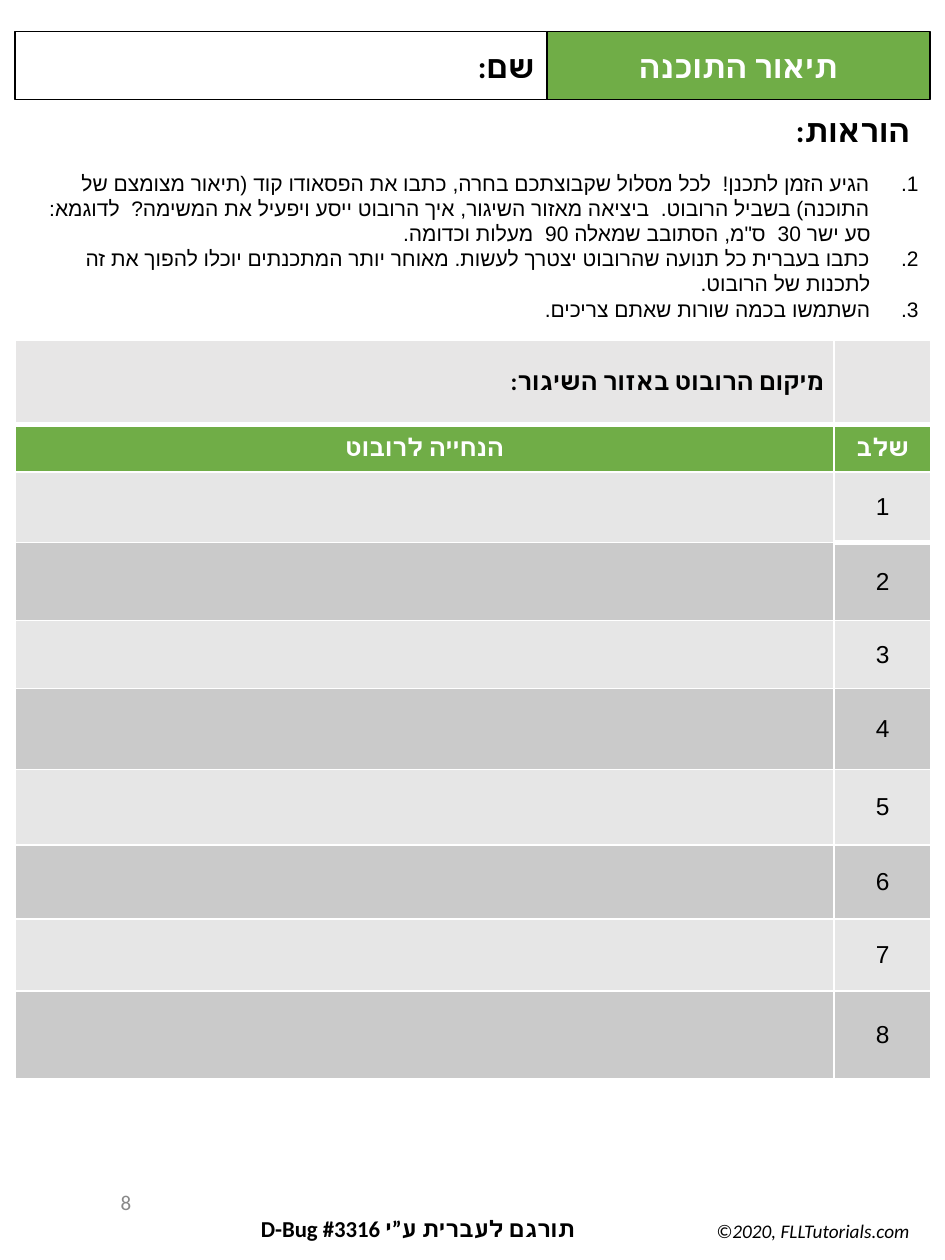
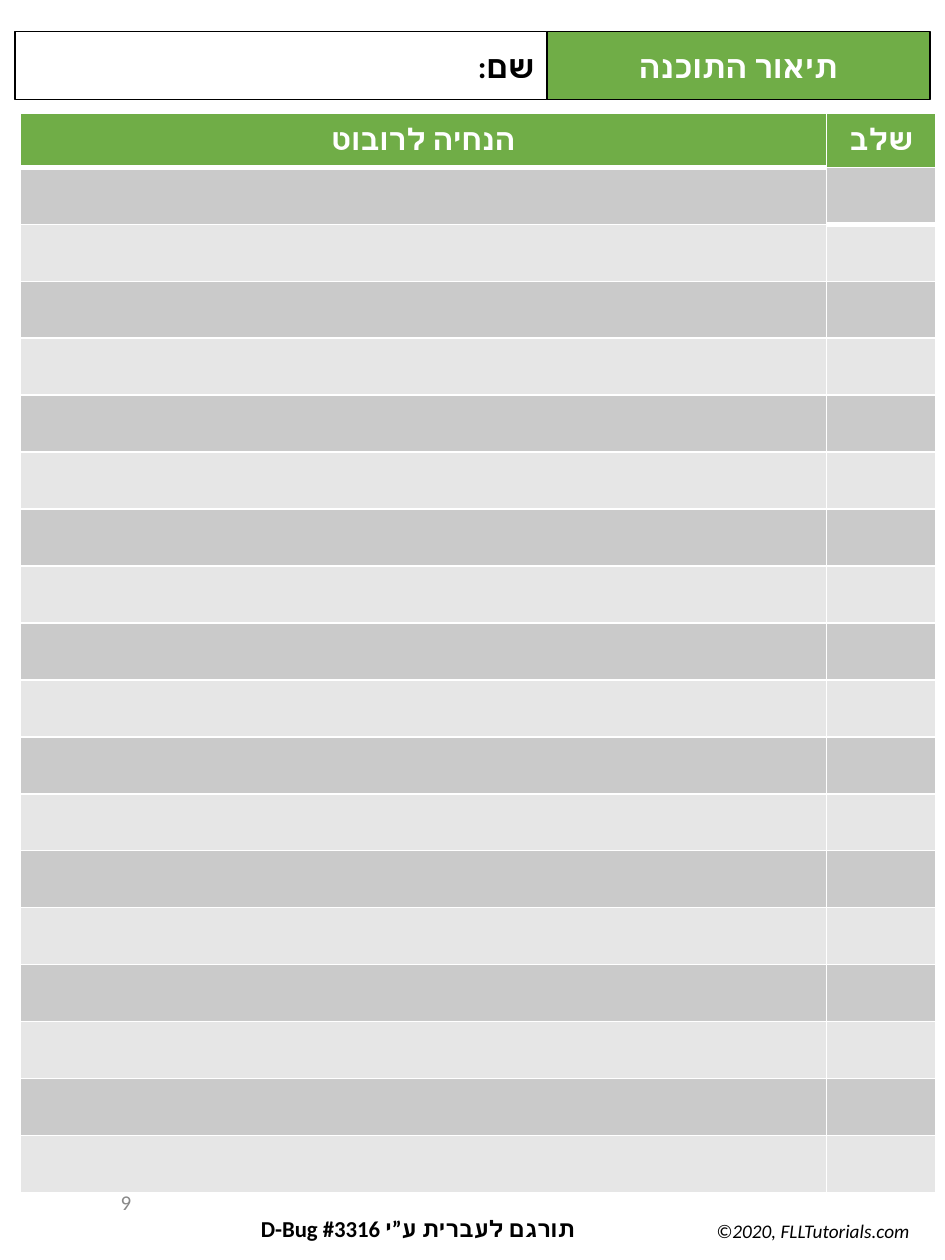
import collections

import pptx
import pptx.dml.color
import pptx.enum.shapes
import pptx.enum.text
import pptx.oxml.ns
import pptx.util
from lxml import etree

Inches = pptx.util.Inches
Pt = pptx.util.Pt
RGBColor = pptx.dml.color.RGBColor
PP_ALIGN = pptx.enum.text.PP_ALIGN
MSO_ANCHOR = pptx.enum.text.MSO_ANCHOR
qn = pptx.oxml.ns.qn

GREEN = RGBColor(0x70, 0xAD, 0x47)
BLACK = RGBColor(0, 0, 0)
WHITE = RGBColor(0xFF, 0xFF, 0xFF)
GRAY = RGBColor(0x88, 0x88, 0x88)
START_GRAY = RGBColor(0xE7, 0xE6, 0xE6)
BANDS = [RGBColor(0xE6, 0xE6, 0xE6), RGBColor(0xCA, 0xCA, 0xCA)]

Box = collections.namedtuple("Box", "left top width height")
Style = collections.namedtuple(
    "Style", "size color bold italic font hebrew_font align rtl",
    defaults=[BLACK, False, False, "Calibri", "Calibri", PP_ALIGN.RIGHT, True])

BAND_TITLE = Style(18, WHITE, True, align=PP_ALIGN.CENTER)
HEADING = Style(18, bold=True)
INSTRUCTION = Style(12, hebrew_font="Arial")
CREDIT = Style(13, bold=True)
COPYRIGHT = Style(11, italic=True, rtl=False)
PAGE_NUMBER = Style(12, GRAY, rtl=False)
START_LABEL = Style(14, bold=True, font="Arial")
STEP_NUMBER = Style(14, font="Arial", align=PP_ALIGN.CENTER, rtl=False)
COLUMN_TITLE = Style(14, WHITE, True, font="Arial", align=PP_ALIGN.CENTER)

HEADER_BOX = Box(0.12, 0.25, 7.26, 0.54)
INSTRUCTIONS_BOX = Box(0.12, 0.83, 7.27, 1.68)
FOOTER_BOX = Box(0, 9.28, 7.5, 0.6)

INSTRUCTIONS = [
    "הגיע הזמן לתכנן!  לכל מסלול שקבוצתכם בחרה, כתבו את הפסאודו קוד (תיאור מצומצם של "
    "התוכנה) בשביל הרובוט.  ביציאה מאזור השיגור, איך הרובוט ייסע ויפעיל את המשימה?  לדוגמא: סע "
    "ישר 30  ס\"מ, הסתובב שמאלה 90  מעלות וכדומה.",
    "כתבו בעברית כל תנועה שהרובוט יצטרך לעשות. מאוחר יותר המתכנתים יוכלו להפוך את זה לתכנות "
    "של הרובוט.",
    "השתמשו בכמה שורות שאתם צריכים.",
]


def format_paragraph(paragraph, style):
    paragraph.alignment = style.align
    paragraph.space_before = paragraph.space_after = Pt(0)
    if style.rtl:
        paragraph._p.get_or_add_pPr().set("rtl", "1")
    for run in paragraph.runs:
        run.font.size = Pt(style.size)
        run.font.bold = style.bold
        run.font.italic = style.italic
        run.font.name = style.font
        run.font.color.rgb = style.color
        complex_font = etree.SubElement(run._r.get_or_add_rPr(), qn("a:cs"))
        complex_font.set("typeface", style.hebrew_font)


def fill_text(shape, text, style, anchor):
    text_frame = shape.text_frame
    text_frame.text = text
    text_frame.word_wrap = True
    text_frame.auto_size = pptx.enum.text.MSO_AUTO_SIZE.NONE
    text_frame.vertical_anchor = anchor
    for paragraph in text_frame.paragraphs:
        format_paragraph(paragraph, style)


def place(shape, box):
    shape.left, shape.top, shape.width, shape.height = map(Inches, box)


def add_label(slide, box, text, style, anchor=MSO_ANCHOR.TOP):
    label = slide.shapes.add_textbox(*map(Inches, box))
    fill_text(label, text, style, anchor)


def paint_panel(shape, color):
    shape.fill.solid()
    shape.fill.fore_color.rgb = color
    shape.line.color.rgb = BLACK
    shape.line.width = Pt(0.75)


def add_header(slide, box):
    title_width = 3.04
    name_width = box.width - title_width
    title = slide.shapes.title
    place(title, Box(box.left + name_width, box.top, title_width, box.height))
    paint_panel(title, GREEN)
    fill_text(title, "תיאור התוכנה", BAND_TITLE, MSO_ANCHOR.MIDDLE)
    name_field = slide.shapes.add_shape(
        pptx.enum.shapes.MSO_SHAPE.RECTANGLE,
        *map(Inches, (box.left, box.top, name_width, box.height)))
    name_field.shadow.inherit = False
    paint_panel(name_field, WHITE)
    fill_text(name_field, "שם:", HEADING, MSO_ANCHOR.MIDDLE)


def add_footer(slide, box, page_number):
    add_label(slide, Box(box.left - 0.55, box.top, 1.69, 0.53),
              str(page_number), PAGE_NUMBER, MSO_ANCHOR.MIDDLE)
    add_label(slide, Box(box.left + 0.46, box.top + 0.31, 4.2, 0.28),
              "תורגם לעברית ע”י D-Bug #3316", CREDIT)
    add_label(slide, Box(box.left + 5.36, box.top + 0.35, 1.96, 0.24),
              "©2020, FLLTutorials.com", COPYRIGHT)


def number_paragraph(paragraph):
    properties = paragraph._p.get_or_add_pPr()
    properties.set("marL", str(Inches(0.38)))
    properties.set("indent", str(Inches(-0.38)))
    color = etree.SubElement(properties, qn("a:buClr"))
    etree.SubElement(color, qn("a:srgbClr")).set("val", str(BLACK))
    etree.SubElement(properties, qn("a:buFont")).set("typeface", "Arial")
    etree.SubElement(properties, qn("a:buAutoNum")).set("type", "arabicPeriod")


def add_instructions(slide, box):
    add_label(slide, Box(box.left + 5.35, box.top, 1.85, 0.54), "הוראות:", HEADING)
    body = slide.placeholders[1]
    place(body, Box(box.left, box.top + 0.47, box.width, box.height - 0.47))
    fill_text(body, "\n".join(INSTRUCTIONS), INSTRUCTION, MSO_ANCHOR.TOP)
    for paragraph in body.text_frame.paragraphs:
        number_paragraph(paragraph)


def set_borders(cell, top, bottom):
    properties = cell._tc.get_or_add_tcPr()
    widths = {"a:lnL": 1, "a:lnR": 1, "a:lnT": top, "a:lnB": bottom}
    for position, (tag, width) in enumerate(widths.items()):
        line = etree.Element(qn(tag), w=str(Pt(width)))
        fill = etree.SubElement(line, qn("a:solidFill"))
        etree.SubElement(fill, qn("a:srgbClr")).set("val", str(WHITE))
        properties.insert(position, line)


def add_grid(slide, box, column_widths, row_heights, row_fills, thick_below):
    frame = slide.shapes.add_table(
        len(row_heights), len(column_widths), *map(Inches, box))
    table = frame.table
    table.first_row = table.horz_banding = False
    for column, width in zip(table.columns, column_widths):
        column.width = Inches(width)
    for row_index, (row, height) in enumerate(zip(table.rows, row_heights)):
        row.height = Inches(height)
        for column_index, cell in enumerate(row.cells):
            cell.margin_left = cell.margin_right = Inches(0.08)
            cell.margin_top = cell.margin_bottom = Inches(0.07)
            cell.fill.solid()
            cell.fill.fore_color.rgb = row_fills[row_index]
            top = 3 if (row_index - 1, column_index) in thick_below else 1
            bottom = 3 if (row_index, column_index) in thick_below else 1
            set_borders(cell, top, bottom)
    return table


def write_cell(cell, text, style, anchor=MSO_ANCHOR.MIDDLE):
    cell.text_frame.text = text
    cell.vertical_anchor = anchor
    format_paragraph(cell.text_frame.paragraphs[0], style)


def write_column_titles(row, titles, size):
    for cell, title in zip(row.cells, titles):
        write_cell(cell, title, COLUMN_TITLE._replace(size=size), MSO_ANCHOR.TOP)


def add_first_steps(slide, box):
    step_heights = [0.56, 0.62, 0.54, 0.64, 0.6, 0.59, 0.57, 0.7]
    table = add_grid(
        slide, box, [box.width - 0.77, 0.77], [0.67, 0.36] + step_heights,
        [START_GRAY, GREEN] + BANDS * 4, {(0, 0), (0, 1), (2, 1)})
    write_cell(table.cell(0, 0), "מיקום הרובוט באזור השיגור:", START_LABEL)
    write_column_titles(table.rows[1], ["הנחייה לרובוט", "שלב"], 14)
    for step in range(1, len(step_heights) + 1):
        write_cell(table.cell(step + 1, 1), str(step), STEP_NUMBER)


def add_more_steps(slide, box):
    step_count = 18
    title_height = 0.41
    step_height = (box.height - title_height) / step_count
    table = add_grid(
        slide, box, [box.width - 0.87, 0.87],
        [title_height] + [step_height] * step_count,
        [GREEN] + BANDS[::-1] * (step_count // 2), {(0, 0), (1, 1)})
    write_column_titles(table.rows[0], ["הנחיה לרובוט", "שלב"], 17)


def add_worksheet(presentation, layout_index, page_number):
    slide = presentation.slides.add_slide(presentation.slide_layouts[layout_index])
    add_header(slide, HEADER_BOX)
    add_footer(slide, FOOTER_BOX, page_number)
    return slide


def main():
    presentation = pptx.Presentation()
    presentation.slide_width = Inches(7.5)
    presentation.slide_height = Inches(10)

    instructions_slide = add_worksheet(presentation, 1, 8)
    add_instructions(instructions_slide, INSTRUCTIONS_BOX)
    add_first_steps(instructions_slide, Box(0.12, 2.7, 7.27, 5.86))

    continuation_slide = add_worksheet(presentation, 5, 9)
    add_more_steps(continuation_slide, Box(0.16, 0.9, 7.27, 8.55))

    presentation.save("out.pptx")


if __name__ == "__main__":
    main()
